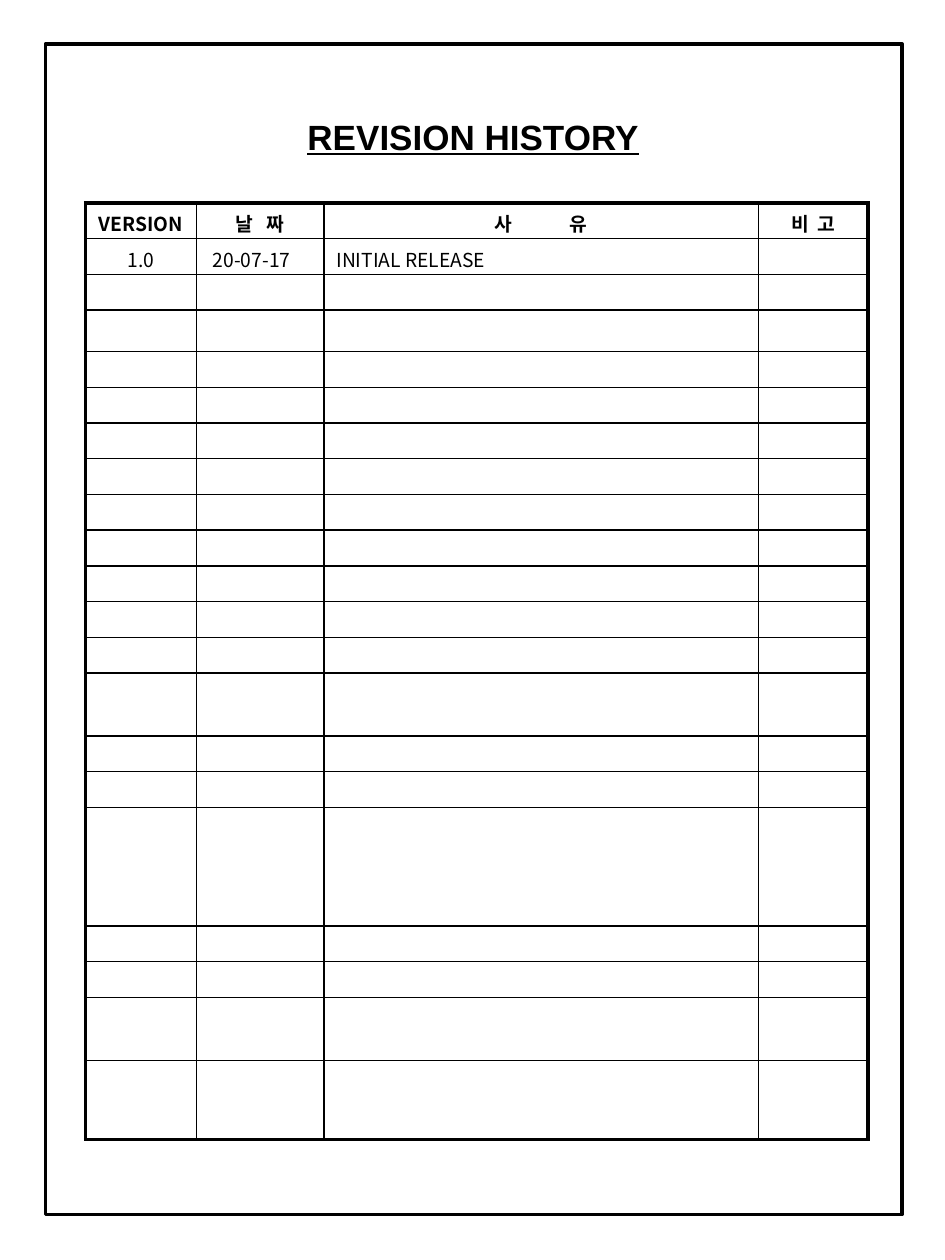
from dataclasses import dataclass

from lxml.etree import SubElement
from pptx import Presentation
from pptx.dml.color import RGBColor
from pptx.enum.shapes import MSO_SHAPE
from pptx.enum.text import MSO_ANCHOR, MSO_AUTO_SIZE, PP_ALIGN
from pptx.oxml.ns import qn
from pptx.util import Inches, Pt

BLACK = "000000"
TITLE_FONT, TABLE_FONT = "Arial", "Noto Sans CJK KR"
THIN, THICK = 1, 2.25
COLUMN_WIDTHS = [0.88, 1.01, 3.45, 0.87]
TABLE_HEIGHT, ROW_COUNT = 7.44, 21
TALL_ROWS = {3: 0.33, 13: 0.5, 16: 0.94, 19: 0.5, 20: 0.63}


@dataclass
class Entry:
    """Text of a cell; gap is the extra width of its space, in points."""
    text: str
    bold: bool = False
    centered: bool = False
    gap: float = 0
    indent: float = 0


ENTRIES = [
    [Entry("VERSION", True, True), Entry("날 짜", True, True, gap=5),
     Entry("사 유", True, True, gap=30), Entry("비 고", True, True, gap=2.5)],
    [Entry("1.0", centered=True), Entry("20-07-17", indent=0.03),
     Entry("INITIAL RELEASE")],
]


def rgb(color: str) -> RGBColor:
    return RGBColor.from_string(color)


def style_font(font, name: str, size: float, bold: bool) -> None:
    font.name, font.size, font.bold = name, Pt(size), bold
    font.color.rgb = rgb(BLACK)


def add_title(s, text: str) -> None:
    title = s.shapes.title
    title.left, title.top = Inches(2.34), Inches(0.83)
    title.width, title.height = Inches(3.62), Inches(0.47)
    tf = title.text_frame
    tf.text = text
    tf.auto_size = MSO_AUTO_SIZE.NONE
    tf.vertical_anchor = MSO_ANCHOR.TOP
    p = tf.paragraphs[0]
    p.alignment = PP_ALIGN.LEFT
    p.line_spacing = 1.1
    p.space_before = Pt(0)
    style_font(p.font, TITLE_FONT, 20, True)
    p.font.underline = True


def set_borders(cell, widths: dict[str, float]) -> None:
    props = cell._tc.get_or_add_tcPr()
    for index, (side, width) in enumerate(widths.items()):
        line = SubElement(props, qn(f"a:ln{side}"), w=str(Pt(width)))
        fill = SubElement(line, qn("a:solidFill"))
        SubElement(fill, qn("a:srgbClr"), val=BLACK)
        props.insert(index, line)


def write_entry(cell, entry: Entry) -> None:
    cell.margin_bottom = 0
    p = cell.text_frame.paragraphs[0]
    p.alignment = PP_ALIGN.CENTER if entry.centered else PP_ALIGN.LEFT
    style_font(p.font, TABLE_FONT, 11, entry.bold)
    SubElement(p.font._element, qn("a:ea"), typeface=TABLE_FONT)
    cell.margin_left = Inches(0.1 + entry.indent)
    if not entry.gap:
        p.add_run().text = entry.text
        return
    for part in entry.text.partition(" "):
        r = p.add_run()
        r.text = part
        if part == " ":
            r.font._element.set("spc", str(round(entry.gap * 100)))


def add_history_table(s) -> None:
    column_count = len(COLUMN_WIDTHS)
    table = s.shapes.add_table(
        ROW_COUNT, column_count, Inches(0.68), Inches(1.61),
        Inches(sum(COLUMN_WIDTHS)), Inches(TABLE_HEIGHT)).table
    table.first_row = table.horz_banding = False
    for column, width in zip(table.columns, COLUMN_WIDTHS):
        column.width = Inches(width)
    regular = (TABLE_HEIGHT - sum(TALL_ROWS.values())) / (ROW_COUNT - len(TALL_ROWS))
    for i, row in enumerate(table.rows):
        row.height = Inches(TALL_ROWS.get(i, regular))
        entries = ENTRIES[i] if i < len(ENTRIES) else []
        for j, cell in enumerate(row.cells):
            cell.fill.background()
            set_borders(cell, {
                "L": THICK if j == 0 else THIN,
                "R": THICK if j == column_count - 1 else THIN,
                "T": THICK if i == 0 else THIN,
                "B": THICK if i == ROW_COUNT - 1 else THIN,
            })
            if j < len(entries):
                write_entry(cell, entries[j])
            else:
                # A small end mark keeps an empty row from growing.
                p = cell.text_frame.paragraphs[0]
                SubElement(p._p, qn("a:endParaRPr"), sz="800")


def add_page_frame(s) -> None:
    frame = s.shapes.add_shape(
        MSO_SHAPE.RECTANGLE, Inches(0.36), Inches(0.35), Inches(6.8), Inches(9.29))
    frame.shadow.inherit = False
    frame.fill.background()
    frame.line.color.rgb = rgb(BLACK)
    frame.line.width = Pt(2)


def main() -> None:
    prs = Presentation()
    prs.slide_width, prs.slide_height = Inches(7.5), Inches(10)
    s = prs.slides.add_slide(prs.slide_layouts[5])
    add_title(s, "REVISION HISTORY")
    add_history_table(s)
    add_page_frame(s)
    prs.save("out.pptx")


if __name__ == "__main__":
    main()
